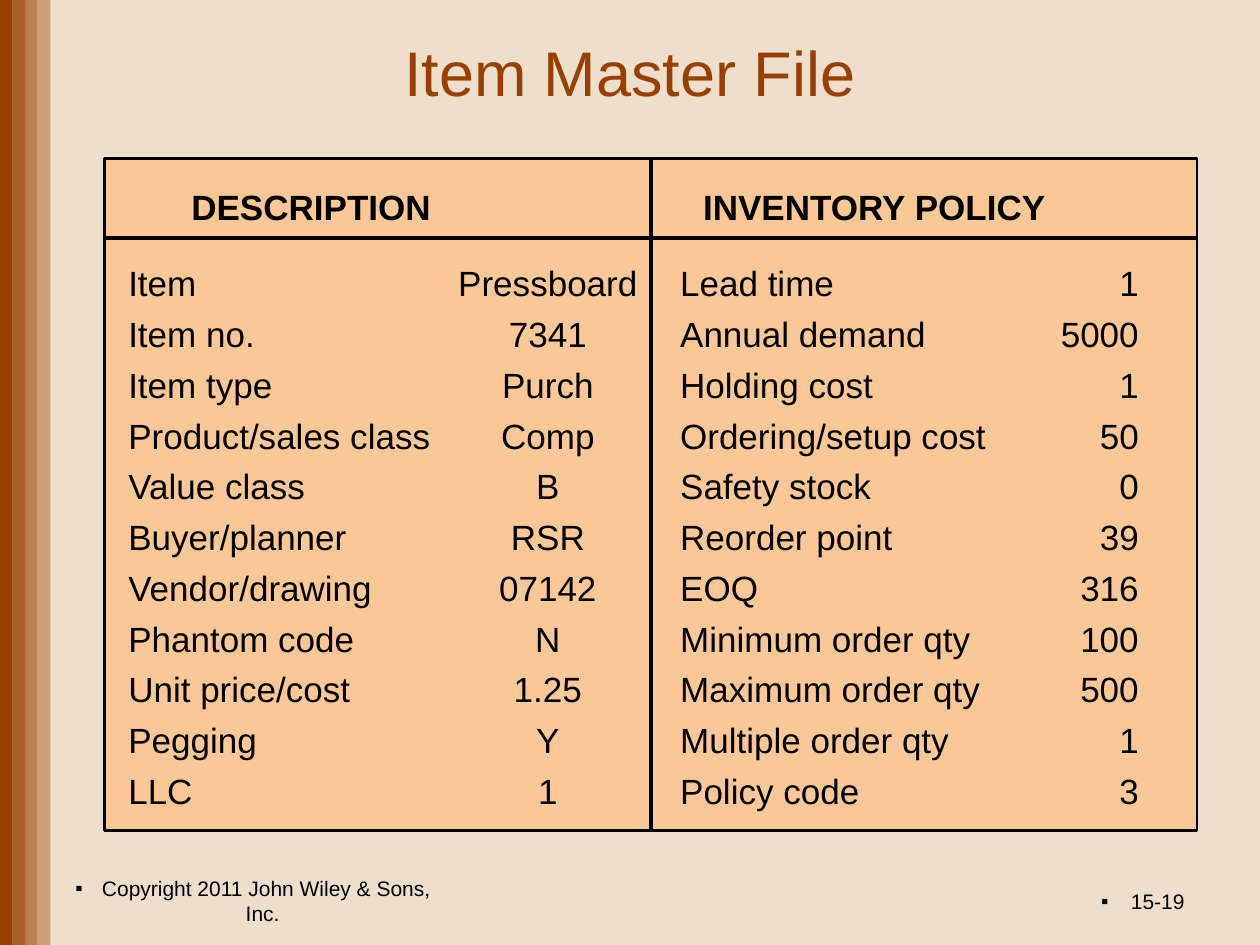
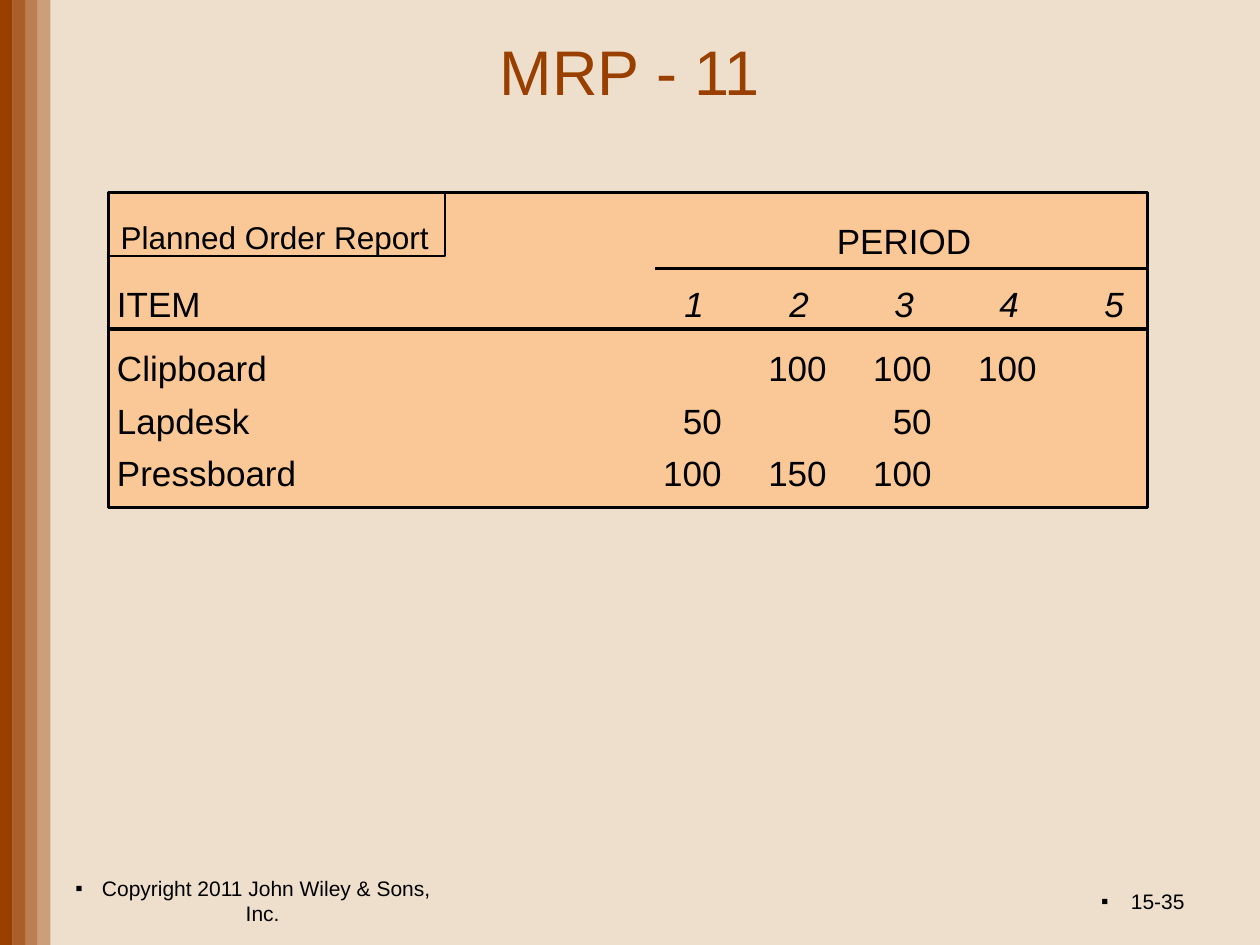
from pptx import Presentation
from pptx.dml.color import RGBColor
from pptx.enum.shapes import MSO_CONNECTOR as Connector, MSO_SHAPE as Shape
from pptx.enum.text import MSO_ANCHOR as Anchor, PP_ALIGN as Align
from pptx.oxml.ns import qn
from pptx.util import Inches, Pt
from lxml.etree import SubElement

COLORS = {"page": "EEDFCC", "rust": "994000", "panel": "FAC896", "ink": "000000"}
FONT = "Arial"
BAND_OPACITIES = (100, 80, 60, 40)
BAND_WIDTH = 0.1
COPYRIGHT = "Copyright 2011 John Wiley & Sons, Inc."

TITLE = {"size": Pt(36), "color": "rust"}
FOOTER = {"size": Pt(12)}
BODY = {"size": Pt(20)}
HEADING = {"size": Pt(20), "bold": True}
PERIOD_NUMBER = {"size": Pt(20), "italic": True}
REPORT_NAME = {"size": Pt(18)}

ITEM_RECORD = [
    ("Item", "Pressboard", "Lead time", "1"),
    ("Item no.", "7341", "Annual demand", "5000"),
    ("Item type", "Purch", "Holding cost", "1"),
    ("Product/sales class", "Comp", "Ordering/setup cost", "50"),
    ("Value class", "B", "Safety stock", "0"),
    ("Buyer/planner", "RSR", "Reorder point", "39"),
    ("Vendor/drawing", "07142", "EOQ", "316"),
    ("Phantom code", "N", "Minimum order qty", "100"),
    ("Unit price/cost", "1.25", "Maximum order qty", "500"),
    ("Pegging", "Y", "Multiple order qty", "1"),
    ("LLC", "1", "Policy code", "3"),
]
PLANNED_ORDERS = [
    ("Clipboard", "", "100", "100", "100"),
    ("Lapdesk", "50", "", "50"),
    ("Pressboard", "100", "150", "100"),
]


def rgb(name):
    return RGBColor.from_string(COLORS[name])


def add_rect(slide, box, fill=None, line_width=None, opacity=100):
    rect = slide.shapes.add_shape(Shape.RECTANGLE, *map(Inches, box))
    rect.shadow.inherit = False
    if fill:
        rect.fill.solid()
        rect.fill.fore_color.rgb = rgb(fill)
        if opacity < 100:
            color = rect.fill._xPr.find(qn("a:solidFill"))[0]
            SubElement(color, qn("a:alpha"), val=str(opacity * 1000))
    else:
        rect.fill.background()
    if line_width:
        rect.line.color.rgb = rgb("ink")
        rect.line.width = Pt(line_width)
    else:
        rect.line.fill.background()
    return rect


def add_rule(slide, start, end):
    rule = slide.shapes.add_connector(Connector.STRAIGHT, *map(Inches, (*start, *end)))
    rule.line.color.rgb = rgb("ink")
    rule.line.width = Pt(2)
    SubElement(rule._element.spPr, qn("a:effectLst"))
    return rule


def write(paragraph, text, style):
    run = paragraph.add_run()
    run.text = text
    font_format = {"name": FONT, **style}
    run.font.color.rgb = rgb(font_format.pop("color", "ink"))
    for attribute, value in font_format.items():
        setattr(run.font, attribute, value)


def set_tabs(paragraph, tabs):
    stops = SubElement(paragraph._p.get_or_add_pPr(), qn("a:tabLst"))
    for position, alignment in tabs:
        SubElement(stops, qn("a:tab"), pos=str(Inches(position)), algn=alignment)


def add_text(slide, box, lines, tabs=(), bullet=False, anchor=Anchor.TOP,
             space_before=None, **paragraph_format):
    """Each line is a list of (text, style) pieces."""
    frame = slide.shapes.add_textbox(*map(Inches, box)).text_frame
    frame.word_wrap = True
    frame.vertical_anchor = anchor
    for index, pieces in enumerate(lines):
        paragraph = frame.add_paragraph() if index else frame.paragraphs[0]
        if bullet:
            properties = paragraph._p.get_or_add_pPr()
            SubElement(properties, qn("a:buFont"), typeface=FONT)
            SubElement(properties, qn("a:buChar"), char="▪")
        if tabs:
            set_tabs(paragraph, tabs)
        if index and space_before:
            paragraph.space_before = space_before
        for attribute, value in paragraph_format.items():
            setattr(paragraph, attribute, value)
        for text, style in pieces:
            write(paragraph, text, style)


def add_page(deck, title, title_box, page_number):
    """Slide with background, side bands, title and footer."""
    slide = deck.slides.add_slide(deck.slide_layouts[6])
    slide.background.fill.solid()
    slide.background.fill.fore_color.rgb = rgb("page")
    for index, opacity in enumerate(BAND_OPACITIES):
        add_rect(slide, (index * BAND_WIDTH, 0, BAND_WIDTH, 7.5), "rust", opacity=opacity)
    add_text(slide, title_box, [[(title, TITLE)]], anchor=Anchor.MIDDLE,
             alignment=Align.CENTER)
    for box, text, alignment in (
        ((0.5, 6.95, 3.17, 0.4), COPYRIGHT, Align.CENTER),
        ((7.17, 6.95, 2.33, 0.4), page_number, Align.RIGHT),
    ):
        add_text(slide, box, [[(text, FOOTER)]], bullet=True, anchor=Anchor.MIDDLE,
                 alignment=alignment)
    return slide


def add_item_master(slide, box):
    left, top, width, height = box
    panel = add_rect(slide, box, "panel", 1.5)
    add_text(slide, (left + 0.59, top + 0.16, width - 0.64, 0.43),
             [[("DESCRIPTION\tINVENTORY POLICY", HEADING)]], tabs=[(5.42, "ctr")])
    add_text(slide, (left + 0.09, top + 0.77, width + 0.09, 4.48),
             [[("\t".join(row), BODY)] for row in ITEM_RECORD],
             tabs=[(3.33, "ctr"), (4.38, "l"), (8.02, "r")], space_before=Pt(5))
    heading_bottom = top + 0.63
    add_rule(slide, (left, heading_bottom), (left + width, heading_bottom))
    middle = left + width / 2
    divider = add_rule(slide, (middle, top), (middle, top + height))
    divider.begin_connect(panel, 0)
    divider.end_connect(panel, 2)


def add_order_report(slide, box):
    left, top, width, _ = box
    right = left + width
    add_rect(slide, box, "panel", 1.5)
    period_step = 2.5 / 3
    period_centers = [(4.58 + period_step * n, "ctr") for n in range(5)]
    quantity_edges = [(4.8 + period_step * n, "r") for n in range(5)]
    periods = "\t".join(str(n) for n in range(1, 6))
    add_text(slide, (left - 0.03, top, width + 0.15, 1.11),
             [[("\t\t\t\tPERIOD", BODY)],
              [("ITEM\t\t", BODY), (periods, PERIOD_NUMBER)]],
             tabs=[(3.44, "r"), *period_centers], line_spacing=1.5)
    add_text(slide, (left - 0.03, top + 1.09, width - 0.27, 1.35),
             [[("\t".join(row), BODY)] for row in PLANNED_ORDERS],
             tabs=quantity_edges, line_spacing=1.25)
    for start, drop in ((left, 1.08), (left + 4.34, 0.6)):
        add_rule(slide, (start, top + drop), (right, top + drop))

    frame = add_rect(slide, (left, top, 2.67, 0.5), line_width=1).text_frame
    frame.word_wrap = False
    frame.vertical_anchor = Anchor.TOP
    report_name = frame.paragraphs[0]
    report_name.alignment = Align.LEFT
    report_name.line_spacing = 1.5
    write(report_name, "Planned Order Report", REPORT_NAME)


def main():
    deck = Presentation()
    deck.slide_width, deck.slide_height = Inches(10), Inches(7.5)
    item_page = add_page(deck, "Item Master File", (0.5, 0.22, 9, 0.7), "15-19")
    add_item_master(item_page, (0.83, 1.26, 8.67, 5.33))
    order_page = add_page(deck, "MRP - 11", (1.75, 0.13, 6.5, 0.85), "15-35")
    add_order_report(order_page, (0.86, 1.53, 8.25, 2.5))
    deck.save("out.pptx")


if __name__ == "__main__":
    main()
